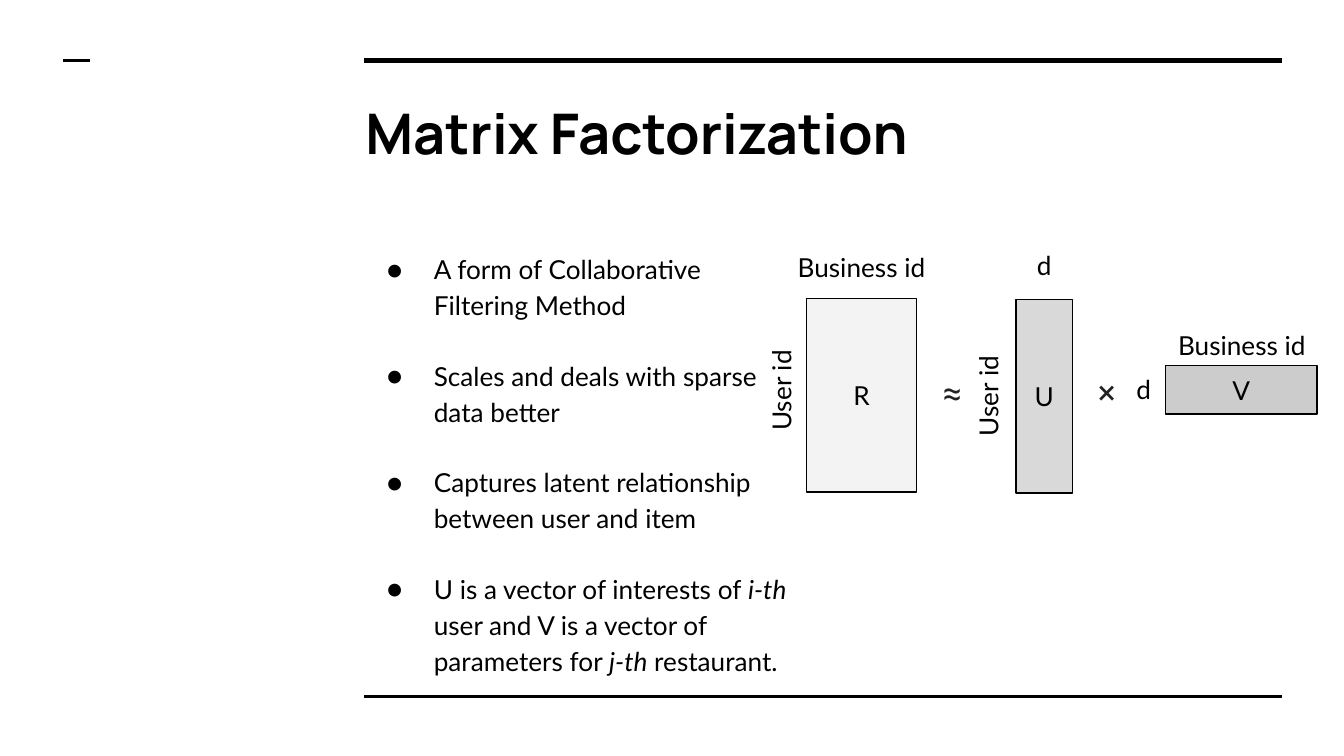
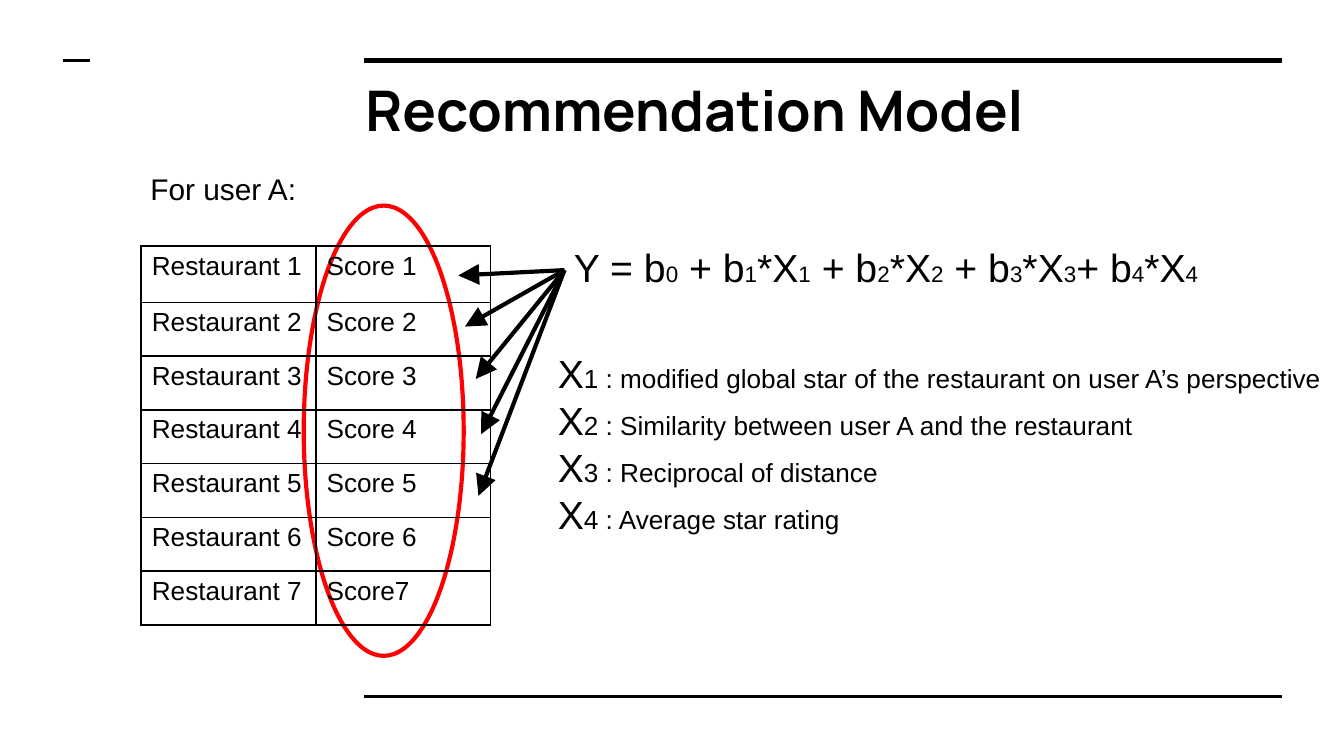
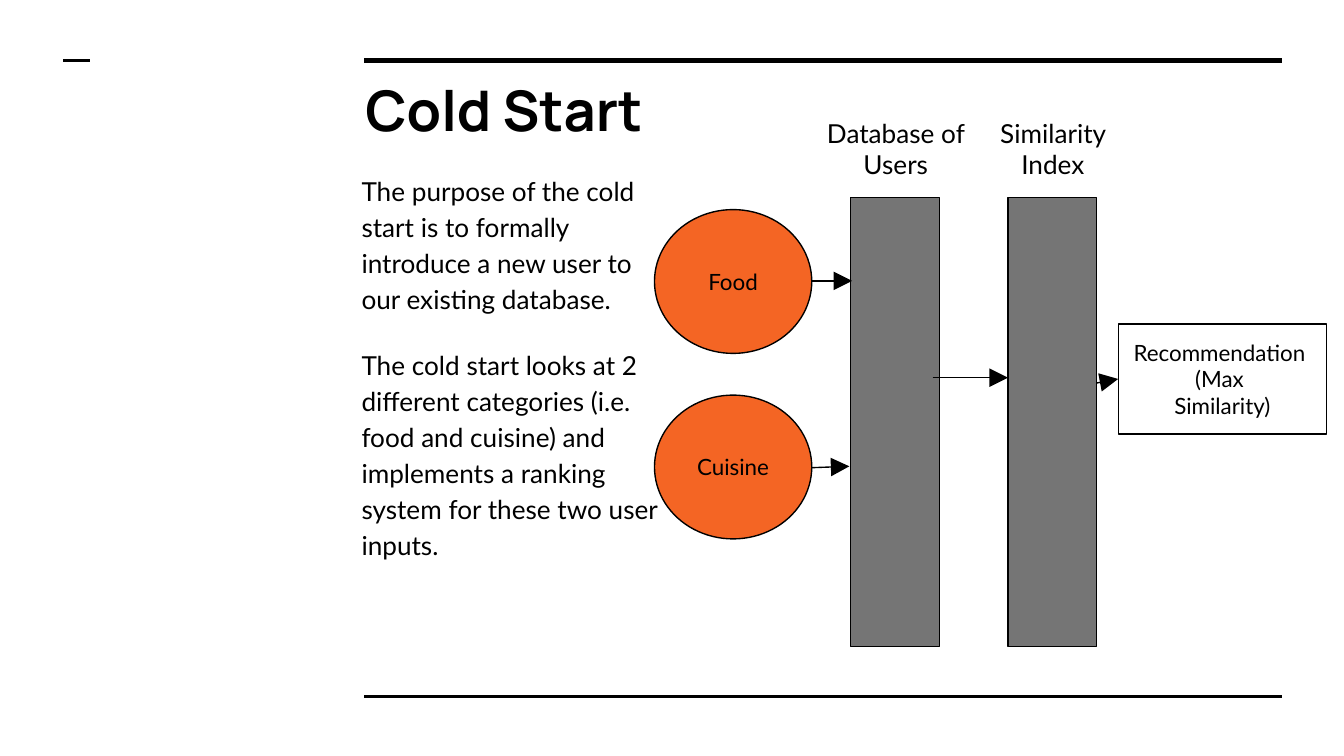
from lxml import etree
from pptx import Presentation
from pptx.dml.color import RGBColor
from pptx.enum import shapes, text
from pptx.oxml.ns import qn
from pptx.util import Inches, Pt

# ---- Shared look ----
BLACK, WHITE, RED = "000000", "FFFFFF", "FF0000"
ORANGE, GRAY = "F46524", "757575"
FRAME = [((2.71, 0.45), (9.54, 0.45), 3),
         ((2.71, 5.18), (9.54, 5.18), 1.5),
         ((0.47, 0.45), (0.67, 0.45), 1.5)]
TITLE = {"size": 30, "name": "Manrope", "bold": True}
LATO = {"size": 14, "name": "Lato"}
SMALL = {"size": 12, "name": "Lato"}
ARIAL = {"size": 14, "name": "Arial"}
SIGN = {"size": 18, "name": "Roboto", "color": "222222"}
WIDE, NARROW = (0.1, 0.1), (0.07, 0.04)
RECT, OVAL = shapes.MSO_SHAPE.RECTANGLE, shapes.MSO_SHAPE.OVAL

# ---- Slide 1: Matrix Factorization ----
ITALIC = {"italic": True}
POINTS = [
    "A form of Collaborative Filtering Method",
    "Scales and deals with sparse data better",
    "Captures latent relationship between user and item",
    ["U is a vector of interests of", (" i-th", ITALIC),
     " user and V is a vector of parameters for ", ("j-th", ITALIC),
     " restaurant."],
]
MATRICES = [("R", (6, 2.22, 0.82, 1.44), "F3F3F3"),
            ("U", (7.56, 2.23, 0.42, 1.44), "D9D9D9"),
            ("V", (8.67, 2.72, 1.13, 0.36), "CCCCCC")]
ID_SIZE, D_SIZE = (1.38, 0.49), (0.32, 0.25)
DIMENSIONS = [("Business id", (5.72, 1.74), ID_SIZE, 0),
              ("User id", (5.12, 2.66), ID_SIZE, 270),
              ("d", (7.61, 1.85), D_SIZE, 0),
              ("User id", (6.66, 2.7), ID_SIZE, 270),
              ("d", (8.35, 2.77), D_SIZE, 0),
              ("Business id", (8.55, 2.32), ID_SIZE, 0)]
SIGNS = [("≈", (6.84, 2.71, 0.49, 0.41)), ("×", (8.02, 2.74, 0.43, 0.34))]

# ---- Slide 2: Recommendation Model ----
BIG, SUB = {"size": 21}, {"size": 12}
FORMULA = [("Y = b", "0"), (" + b", "1"), ("*X", "1"), (" + b", "2"),
           ("*X", "2"), (" + b", "3"), ("*X", "3"), ("+ b", "4"), ("*X", "4")]
FACTORS = ["modified global star of the restaurant on user A’s perspective",
           "Similarity between user A and the restaurant",
           "Reciprocal of distance",
           "Average star rating"]
SCORES = ["Score 1", "Score 2", "Score 3", "Score 4", "Score 5", "Score 6",
          "Score7"]
FORMULA_START = (4.2, 2.01)
SCORE_TIPS = [(3.41, 2.05), (3.46, 2.43), (3.54, 2.82), (3.58, 3.23),
              (3.56, 3.69)]

# ---- Slide 3: Cold Start ----
PURPOSE = [
    "The purpose of the cold start is to formally introduce a new user to "
    "our existing database.",
    "The cold start looks at 2 different categories (i.e. food and cuisine) "
    "and implements a ranking system for these two user inputs.",
]
INPUTS = [("Food", 1.56), ("Cuisine", 2.94)]
STAGES = [("Database of Users", 6.33, (6.02, 0.83, 1.29, 0.55)),
          ("Similarity Index", 7.5, (7.25, 0.83, 1.17, 0.55))]
FLOWS = [((6.04, 2.09), (6.34, 2.09)), ((6.04, 3.48), (6.32, 3.47)),
         ((6.94, 2.81), (7.5, 2.81))]


# ---- Helpers ----
def rgb(color):
    return RGBColor.from_string(color)


def set_font(font, fmt):
    for key, value in {"color": BLACK, **fmt}.items():
        if key == "color":
            font.color.rgb = rgb(value)
        else:
            setattr(font, key, Pt(value) if key == "size" else value)


def add_bullet(p, typeface):
    pPr = p._p.get_or_add_pPr()
    pPr.set("marL", str(Inches(0.5)))
    pPr.set("indent", str(Inches(-0.35)))
    color = etree.SubElement(pPr, qn("a:buClr"))
    etree.SubElement(color, qn("a:srgbClr")).set("val", BLACK)
    etree.SubElement(pPr, qn("a:buFont")).set("typeface", typeface)
    etree.SubElement(pPr, qn("a:buChar")).set("char", "●")


def write(tf, paragraphs, fmt, align=None, bullet=False, **spacing):
    """Each paragraph is a string or a list of strings and (string, format)."""
    for i, runs in enumerate(paragraphs):
        p = tf.paragraphs[0] if i == 0 else tf.add_paragraph()
        if bullet:
            add_bullet(p, fmt["name"])
        p.alignment = align
        for key, value in spacing.items():
            setattr(p, key, value)
        for item in [runs] if isinstance(runs, str) else runs:
            words, extra = (item, {}) if isinstance(item, str) else item
            for n, line in enumerate(words.split("\n")):
                if n:
                    p.add_line_break()
                r = p.add_run()
                r.text = line
                set_font(r.font, {**fmt, **extra})


def set_frame(tf, inset, anchor):
    tf.word_wrap = True
    tf.vertical_anchor = anchor
    tf.margin_left = tf.margin_right = Inches(inset[0])
    tf.margin_top = tf.margin_bottom = Inches(inset[1])


def add_text(s, at, paragraphs, fmt, inset=NARROW, **options):
    sp = s.shapes.add_textbox(*map(Inches, at))
    set_frame(sp.text_frame, inset, text.MSO_ANCHOR.TOP)
    write(sp.text_frame, paragraphs, fmt, **options)
    return sp


def add_label(s, at, words, fmt=LATO, rotation=0):
    sp = add_text(s, at, [words], fmt, WIDE, align=text.PP_ALIGN.CENTER)
    sp.text_frame.vertical_anchor = text.MSO_ANCHOR.MIDDLE
    sp.rotation = rotation


def add_figure(s, kind, at, fill, words="", fmt=LATO, line=BLACK, width=0.75):
    sp = s.shapes.add_shape(kind, *map(Inches, at))
    sp.shadow.inherit = False
    sp.fill.solid()
    sp.fill.fore_color.rgb = rgb(fill)
    sp.line.color.rgb = rgb(line)
    sp.line.width = Pt(width)
    if words:
        set_frame(sp.text_frame, WIDE, text.MSO_ANCHOR.MIDDLE)
        write(sp.text_frame, [words], fmt, align=text.PP_ALIGN.CENTER)
    return sp


def add_line(s, start, end, width, arrow=False):
    line = s.shapes.add_connector(shapes.MSO_CONNECTOR.STRAIGHT,
                                  *map(Inches, start + end))
    line.line.color.rgb = rgb(BLACK)
    line.line.width = Pt(width)
    spPr = line._element.spPr
    if arrow:
        etree.SubElement(spPr.find(qn("a:ln")), qn("a:tailEnd"),
                         type="triangle", w="lg", len="lg")
    etree.SubElement(spPr, qn("a:effectLst"))
    return line


def add_borders(cell):
    tcPr = cell._tc.get_or_add_tcPr()
    for i, side in enumerate(("lnL", "lnR", "lnT", "lnB")):
        ln = etree.Element(qn("a:" + side), w=str(Pt(1)))
        fill = etree.SubElement(ln, qn("a:solidFill"))
        etree.SubElement(fill, qn("a:srgbClr")).set("val", BLACK)
        tcPr.insert(i, ln)


def new_slide(prs, title, top=0.46):
    s = prs.slides.add_slide(prs.slide_layouts[6])
    for start, end, width in FRAME:
        add_line(s, start, end, width)
    add_text(s, (2.62, top, 6.91, 0.69), [title], TITLE, WIDE)
    return s


# ---- Slides ----
def matrix_slide(prs):
    s = new_slide(prs, "Matrix Factorization", 0.63)
    add_text(s, (2.63, 1.75, 3.36, 3.28), POINTS, LATO, WIDE, bullet=True,
             line_spacing=1.15, space_after=Pt(18.5))
    for name, at, fill in MATRICES:
        add_figure(s, RECT, at, fill, name)
    for words, corner, size, rotation in DIMENSIONS:
        add_label(s, corner + size, words, rotation=rotation)
    for sign, at in SIGNS:
        add_label(s, at, sign, SIGN)


def model_slide(prs):
    s = new_slide(prs, "Recommendation Model")
    formula = [run for term, sub in FORMULA
               for run in ((term, BIG), (sub, SUB))]
    add_text(s, (4.2, 1.77, 5.23, 0.47), [formula], ARIAL)
    factors = [[("X", BIG), f"{i} : {words}"]
               for i, words in enumerate(FACTORS, 1)]
    add_text(s, (4.08, 2.56, 5.92, 1.14), factors, ARIAL)
    add_text(s, (1.05, 1.23, 2.13, 0.3), ["For user A:"],
             {**ARIAL, "size": 16})
    add_figure(s, OVAL, (2.26, 1.53, 1.19, 3.35), WHITE, line=RED, width=2.25)

    # Score table, see-through so that the ring shows
    table = s.shapes.add_table(len(SCORES), 2, *map(
        Inches, (1.05, 1.83, 2.6, 2.82))).table
    table.first_row = table.horz_banding = False
    for column in table.columns:
        column.width = Inches(1.3)
    for i, score in enumerate(SCORES):
        table.rows[i].height = Inches(0.4 if i else 0.42)
        for j, words in enumerate((f"Restaurant {i + 1}", score)):
            cell = table.cell(i, j)
            cell.fill.background()
            cell.margin_left = cell.margin_right = Inches(0.08)
            cell.margin_top = cell.margin_bottom = Inches(0.04)
            write(cell.text_frame, [words], ARIAL)
            add_borders(cell)

    for tip in SCORE_TIPS:
        add_line(s, FORMULA_START, tip, 2.25, arrow=True)


def cold_start_slide(prs):
    s = new_slide(prs, "Cold Start")
    add_text(s, (2.62, 1.23, 2.37, 1.14), PURPOSE, LATO,
             line_spacing=1.15, space_after=Pt(16))
    for words, top in INPUTS:
        add_figure(s, OVAL, (4.87, top, 1.17, 1.07), ORANGE, words, SMALL)
    for words, left, label_at in STAGES:
        add_figure(s, RECT, (left, 1.47, 0.66, 3.34), GRAY)
        add_label(s, label_at, words)
    for start, end in FLOWS:
        add_line(s, start, end, 0.75, arrow=True)
    result = add_figure(s, RECT, (8.32, 2.41, 1.55, 0.82), WHITE,
                        "Recommendation \n(Max \nSimilarity)", SMALL)
    add_line(s, (8.16, 2.85), (8.32, 2.82), 0.75,
             arrow=True).end_connect(result, 1)


def main():
    prs = Presentation()
    prs.slide_width = Inches(10)
    prs.slide_height = prs.slide_width * 9 // 16
    matrix_slide(prs)
    model_slide(prs)
    cold_start_slide(prs)
    prs.save("out.pptx")


if __name__ == "__main__":
    main()
